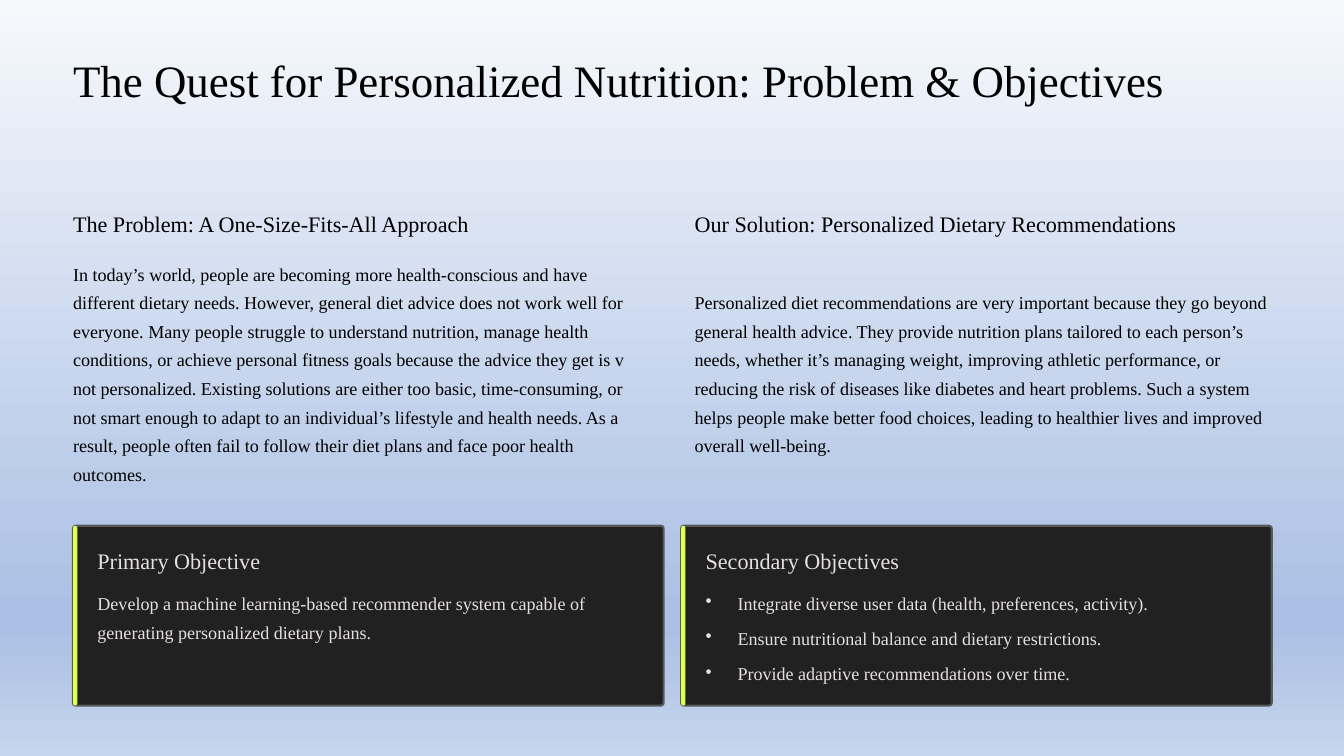
"""Build the problem and objectives slide for personalized nutrition."""
from lxml import etree
from pptx import Presentation
from pptx import util as u
from pptx.dml.color import RGBColor
from pptx.enum import shapes
from pptx.oxml import ns

BLACK = RGBColor(0x00, 0x00, 0x00)
CARD = RGBColor(0x21, 0x21, 0x21)
BORDER = RGBColor(0x59, 0x59, 0x59)
ACCENT = RGBColor(0xDC, 0xFF, 0x50)
LIGHT = RGBColor(0xE5, 0xE0, 0xDF)
BACKGROUND = [(0, "F6F8FC"), (81, "ABC0E4"), (83, "ABC0E4"), (100, "C7D5ED")]

WIDTH, HEIGHT = 16, 9
MARGIN = 0.87
CONTENT = WIDTH - 2 * MARGIN + 0.01
COLUMN = 6.87
CARD_WIDTH, CARD_HEIGHT, CARD_TOP = 7.03, 2.14, 6.26
INSET = 0.29
HEADING = (19, 24)
BODY = (15.5, 24.5)

presentation = Presentation()
presentation.slide_width = u.Inches(WIDTH)
presentation.slide_height = u.Inches(HEIGHT)
slide = presentation.slides.add_slide(presentation.slide_layouts[6])

fill = slide.background.fill
fill.gradient()
fill.gradient_angle = 270
stops = next(slide.element.iter(ns.qn("a:gsLst")))
for stop in list(stops):
    stops.remove(stop)
for position, color in BACKGROUND:
    stop = etree.SubElement(stops, ns.qn("a:gs"), pos=str(position * 1000))
    etree.SubElement(stop, ns.qn("a:srgbClr"), val=color)


def add_text(words, box, style, color=BLACK, wrap=True, bullet=False):
    size, spacing = style
    frame = slide.shapes.add_textbox(*map(u.Inches, box)).text_frame
    frame.margin_left = frame.margin_right = frame.margin_top = frame.margin_bottom = 0
    frame.word_wrap = wrap
    frame.text = words
    paragraph = frame.paragraphs[0]
    if bullet:
        properties = paragraph._p.get_or_add_pPr()
        indent = u.Inches(0.38)
        properties.set("marL", str(indent))
        properties.set("indent", str(-indent))
        etree.SubElement(properties, ns.qn("a:buChar"), char="•")
    paragraph.line_spacing = u.Pt(spacing)
    font = paragraph.runs[0].font
    font.name = "Times New Roman"
    font.size = u.Pt(size)
    font.color.rgb = color


def add_panel(box, rounding, color):
    shape = slide.shapes.add_shape(shapes.MSO_SHAPE.ROUNDED_RECTANGLE, *map(u.Inches, box))
    shape.adjustments[0] = rounding
    shape.shadow.inherit = False
    shape.fill.solid()
    shape.fill.fore_color.rgb = color
    shape.line.fill.background()
    return shape


add_text("The Quest for Personalized Nutrition: Problem & Objectives",
         (MARGIN, 0.6, CONTENT, 1.35), (38.5, 48.5))

right = MARGIN + CONTENT - COLUMN
columns = [
    (MARGIN, 6.66, 0.34, 3.05, False, "The Problem: A One-Size-Fits-All Approach",
     "In today’s world, people are becoming more health-conscious and have different dietary "
     "needs. However, general diet advice does not work well for everyone. Many people struggle "
     "to understand nutrition, manage health conditions, or achieve personal fitness goals "
     "because the advice they get is v not personalized. Existing solutions are either too "
     "basic, time-consuming, or not smart enough to adapt to an individual’s lifestyle and "
     "health needs. As a result, people often fail to follow their diet plans and face poor "
     "health outcomes."),
    (right, COLUMN, 0.68, 3.39, True, "Our Solution: Personalized Dietary Recommendations",
     "Personalized diet recommendations are very important because they go beyond general "
     "health advice. They provide nutrition plans tailored to each person’s needs, whether it’s "
     "managing weight, improving athletic performance, or reducing the risk of diseases like "
     "diabetes and heart problems. Such a system helps people make better food choices, leading "
     "to healthier lives and improved overall well-being."),
]
for left, heading_width, heading_height, body_top, wrap, heading, body in columns:
    add_text(heading, (left, 2.49, heading_width, heading_height), HEADING, wrap=wrap)
    add_text(body, (left, body_top, COLUMN, 5.82 - body_top), BODY)

cards = [
    (MARGIN, 2.76, "Primary Objective", False,
     ["Develop a machine learning-based recommender system capable of generating personalized "
      "dietary plans."]),
    (MARGIN + CONTENT - CARD_WIDTH, 3.25, "Secondary Objectives", True,
     ["Integrate diverse user data (health, preferences, activity).",
      "Ensure nutritional balance and dietary restrictions.",
      "Provide adaptive recommendations over time."]),
]
for left, heading_width, heading, bulleted, items in cards:
    card = add_panel((left, CARD_TOP, CARD_WIDTH, CARD_HEIGHT), 0.015, CARD)
    card.line.color.rgb = BORDER
    card.line.width = u.Pt(1.8)
    add_panel((left, CARD_TOP, 0.05, CARD_HEIGHT), 0.65, ACCENT)
    text_left = left + INSET
    add_text(heading, (text_left, 6.5, heading_width, 0.34), HEADING, LIGHT, wrap=False)
    for row, item in enumerate(items):
        add_text(item, (text_left, 6.97 + 0.42 * row, 6.49, 0.35 if bulleted else 0.69),
                 BODY, LIGHT, wrap=not bulleted, bullet=bulleted)

presentation.save("out.pptx")
